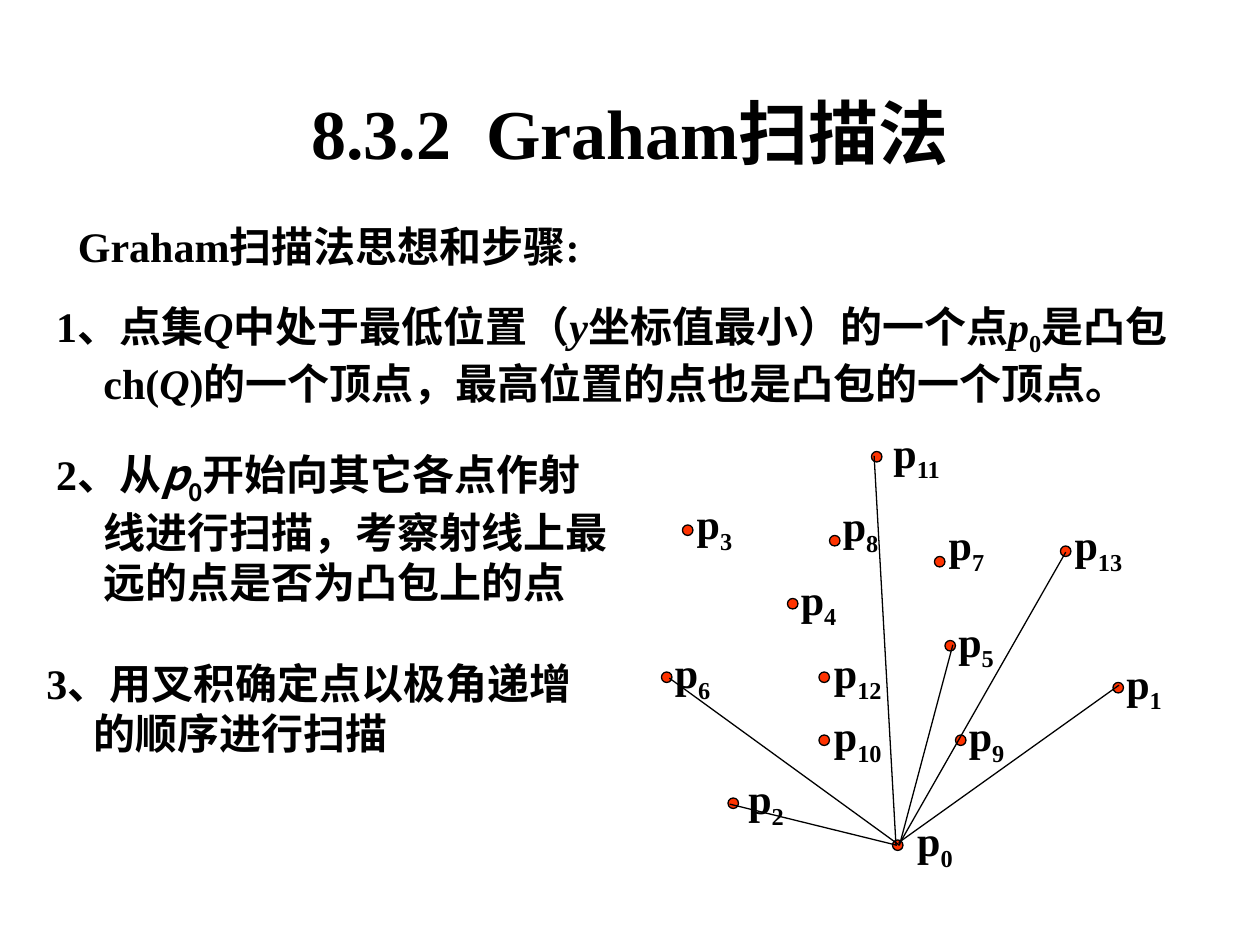
"""Build the slide on the idea and steps of the Graham scan."""

from dataclasses import dataclass
from typing import NamedTuple

from lxml.etree import SubElement
from pptx import Presentation
from pptx.dml.color import RGBColor
from pptx.enum.shapes import MSO_CONNECTOR, MSO_SHAPE
from pptx.enum.text import MSO_ANCHOR, MSO_AUTO_SIZE, PP_ALIGN
from pptx.oxml.ns import qn
from pptx.util import Pt


@dataclass(frozen=True)
class Theme:
    """Colours, fonts and sizes of the slide."""

    ink: RGBColor = RGBColor(0, 0, 0)
    dot: RGBColor = RGBColor(0xFF, 0x33, 0x00)
    latin: str = "Times New Roman"
    asian: str = "Noto Sans CJK SC"
    title_size: float = 40
    body_size: float = 24
    line_width: float = 0.75
    dot_size: float = 6
    hanging: float = 27


class Piece(NamedTuple):
    """A stretch of text with one format."""

    text: str
    italic: bool = False
    subscript: bool = False
    asian: bool = False


class Block(NamedTuple):
    """A text box and its pieces."""

    left: float
    top: float
    width: float
    height: float
    pieces: list[Piece]
    size: float
    hanging: float = 0
    wrap: bool = True
    align: PP_ALIGN = PP_ALIGN.LEFT
    anchor: MSO_ANCHOR = MSO_ANCHOR.TOP


class Point(NamedTuple):
    """A numbered point of the set, with its dot and its label."""

    number: int
    left: float
    top: float
    label_left: float
    label_top: float


class Ray(NamedTuple):
    """A line from the lowest point to another point."""

    start_x: float
    start_y: float
    end_x: float
    end_y: float


THEME = Theme()

BLOCKS = [
    Block(54, 48, 612, 54, [Piece("8.3.2  Graham扫描法")], THEME.title_size,
          align=PP_ALIGN.CENTER, anchor=MSO_ANCHOR.MIDDLE),
    Block(37.5, 122.5, 312.5, 36, [Piece("Graham扫描法思想和步骤:")],
          THEME.body_size, wrap=False),
    Block(25, 168, 666, 78, [
        Piece("1、点集"), Piece("Q", italic=True),
        Piece("中处于最低位置（"), Piece("y", italic=True),
        Piece("坐标值最小）的一个点"), Piece("p", italic=True),
        Piece("0", subscript=True), Piece("是凸包ch("),
        Piece("Q", italic=True),
        Piece(")的一个顶点，最高位置的点也是凸包的一个顶点。"),
    ], THEME.body_size, THEME.hanging),
    Block(25, 253, 335, 102, [
        Piece("2、从"), Piece("p", italic=True, asian=True),
        Piece("0", subscript=True, asian=True),
        Piece("开始向其它各点作射线进行扫描，考察射线上最远的点是否为凸包上的点"),
    ], THEME.body_size, THEME.hanging),
    Block(19.5, 372, 323.5, 81, [Piece("3、用叉积确定点以极角递增的顺序进行扫描")],
          THEME.body_size, THEME.hanging),
]

POINTS = [
    Point(0, 510, 480, 517, 462),
    Point(1, 636, 390, 636.5, 372),
    Point(2, 416, 456, 420.5, 438),
    Point(3, 390, 300, 391, 281),
    Point(4, 450, 342, 450.5, 324),
    Point(5, 540, 366, 540.5, 348),
    Point(6, 378, 384, 378.5, 366),
    Point(7, 534, 318, 535, 293),
    Point(8, 474, 306, 474.5, 282),
    Point(9, 546, 420, 546.5, 402),
    Point(10, 468, 420, 469.5, 402),
    Point(11, 498, 258, 503.5, 240),
    Point(12, 468, 384, 469.5, 366),
    Point(13, 606, 312, 607, 293),
]

RAYS = [
    Ray(513.5, 481.5, 639.5, 391.5),
    Ray(513.5, 483, 609, 315.5),
    Ray(512.5, 483, 417, 459.5),
    Ray(512, 483, 499.5, 260.5),
    Ray(514, 483, 382.5, 387.5),
    Ray(514, 483, 544.5, 368.5),
]


def add_piece(paragraph, piece: Piece, size: float) -> None:
    """Append one formatted run to the paragraph."""
    run = paragraph.add_run()
    run.text = piece.text
    formats = {
        "size": Pt(size),
        "bold": True,
        "italic": piece.italic,
        "name": THEME.asian if piece.asian else THEME.latin,
    }
    for name, value in formats.items():
        setattr(run.font, name, value)
    run.font.color.rgb = THEME.ink
    properties = run._r.get_or_add_rPr()
    SubElement(properties, qn("a:ea")).set("typeface", THEME.asian)
    if piece.subscript:
        properties.set("baseline", "-25000")


def add_block(slide, block: Block) -> None:
    """Draw a text box."""
    shape = slide.shapes.add_textbox(
        Pt(block.left), Pt(block.top), Pt(block.width), Pt(block.height))
    frame = shape.text_frame
    formats = {
        "word_wrap": block.wrap,
        "auto_size": MSO_AUTO_SIZE.NONE if block.wrap else MSO_AUTO_SIZE.SHAPE_TO_FIT_TEXT,
        "vertical_anchor": block.anchor,
    }
    for name, value in formats.items():
        setattr(frame, name, value)
    paragraph = frame.paragraphs[0]
    paragraph.alignment = block.align
    if block.hanging:
        properties = paragraph._p.get_or_add_pPr()
        properties.set("marL", str(Pt(block.hanging)))
        properties.set("indent", str(-Pt(block.hanging)))
    for piece in block.pieces:
        add_piece(paragraph, piece, block.size)


def add_label(slide, point: Point) -> None:
    """Write the name of a point beside its dot."""
    number = str(point.number)
    width = 27.5 + 7 * len(number)
    pieces = [Piece("p"), Piece(number, subscript=True)]
    add_block(slide, Block(point.label_left, point.label_top, width, 40,
                           pieces, THEME.body_size, wrap=False))


def add_dot(slide, point: Point) -> None:
    """Draw the dot of a point."""
    shape = slide.shapes.add_shape(
        MSO_SHAPE.FLOWCHART_CONNECTOR, Pt(point.left), Pt(point.top),
        Pt(THEME.dot_size), Pt(THEME.dot_size))
    shape.shadow.inherit = False
    shape.fill.solid()
    shape.fill.fore_color.rgb = THEME.dot
    shape.line.color.rgb = THEME.ink
    shape.line.width = Pt(THEME.line_width)


def add_ray(slide, ray: Ray) -> None:
    """Draw a ray."""
    connector = slide.shapes.add_connector(
        MSO_CONNECTOR.STRAIGHT, *(Pt(length) for length in ray))
    connector.line.color.rgb = THEME.ink
    connector.line.width = Pt(THEME.line_width)
    SubElement(connector._element.spPr, qn("a:effectLst"))


def main() -> None:
    """Build and save the presentation."""
    presentation = Presentation()
    presentation.slide_width, presentation.slide_height = Pt(720), Pt(540)
    slide = presentation.slides.add_slide(presentation.slide_layouts[6])
    for draw, items in ((add_block, BLOCKS), (add_label, POINTS),
                        (add_dot, POINTS), (add_ray, RAYS)):
        for item in items:
            draw(slide, item)
    presentation.save("out.pptx")


if __name__ == "__main__":
    main()
